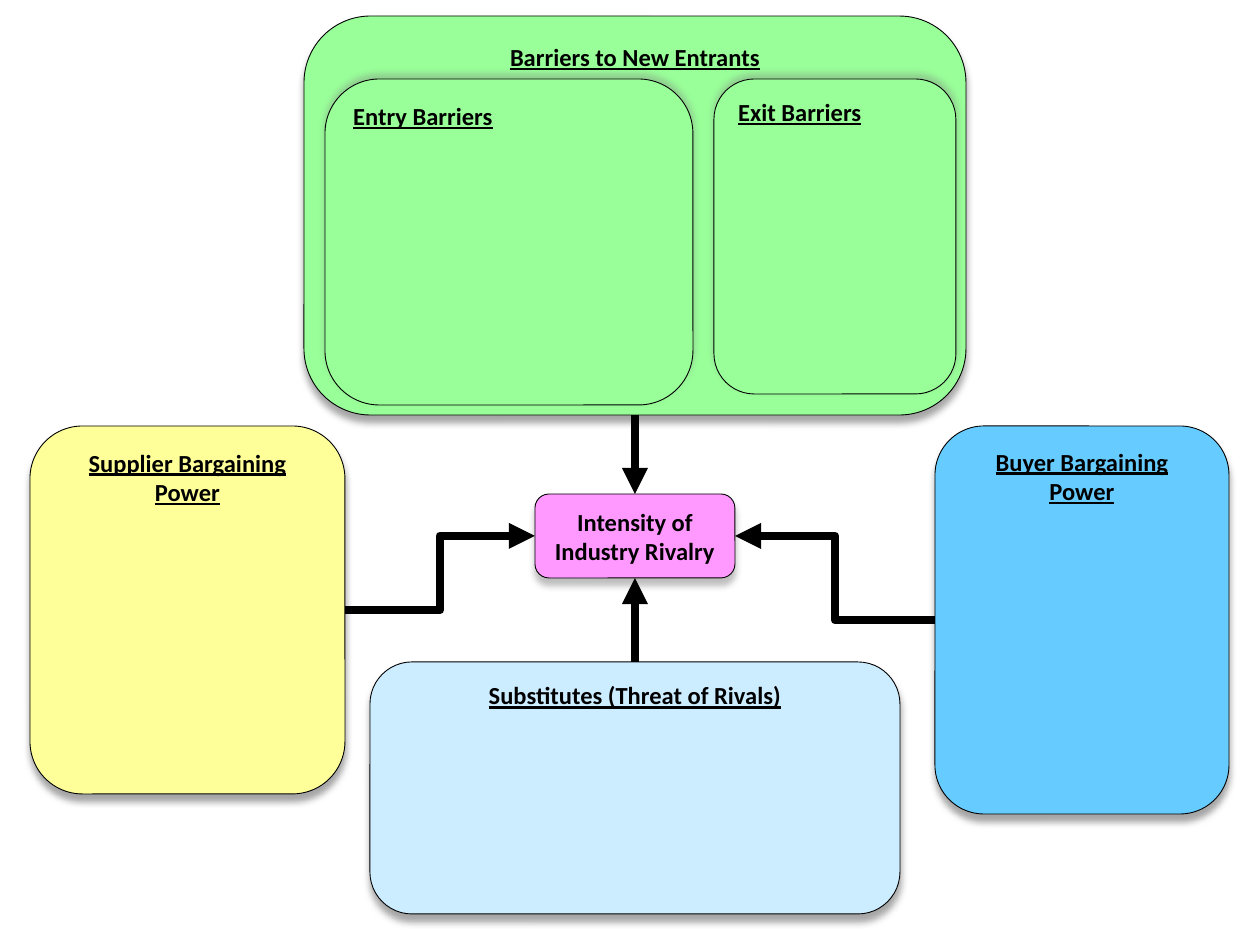
from dataclasses import dataclass

from lxml.etree import SubElement
from pptx import Presentation
from pptx.dml.color import RGBColor
from pptx.enum.shapes import MSO_CONNECTOR as CONN, MSO_SHAPE as SHAPE
from pptx.enum.text import MSO_ANCHOR as ANCHOR, PP_ALIGN as ALIGN
from pptx.oxml.ns import qn
from pptx.util import Inches, Pt

TOP, LEFT, BOTTOM, RIGHT = range(4)


def px(n):
    return Inches(n / 126)


@dataclass(frozen=True)
class Theme:
    font: str = "Calibri"
    size: int = 14
    outline: float = 0.5
    arrow: int = 5
    ink: str = "000000"
    green: str = "99FF99"
    yellow: str = "FFFF99"
    blue: str = "66CCFF"
    pale: str = "CCECFF"
    pink: str = "FF99FF"
    # Shadows: colour, opacity %, distance in points, direction in degrees
    drop: tuple = ("A6A6A6", 100, 4, 90)
    soft: tuple = ("BFBFBF", 100, 4, 90)
    rise: tuple = ("808080", 40, 3, 270)


class Diagram:
    def __init__(self, prs, theme):
        self.theme = theme
        self.s = prs.slides.add_slide(prs.slide_layouts[6])

    def shadow(self, sp, style):
        color, opacity, dist, angle = style
        sp.shadow.inherit = False
        effects = sp._element.spPr.find(qn("a:effectLst"))
        shdw = SubElement(effects, qn("a:outerShdw"), blurRad=str(Pt(4)), dist=str(Pt(dist)),
                          dir=str(angle * 60000), algn="ctr", rotWithShape="0")
        clr = SubElement(shdw, qn("a:srgbClr"), val=color)
        SubElement(clr, qn("a:alpha"), val=str(opacity * 1000))

    def line(self, line, width):
        line.color.rgb = RGBColor.from_string(self.theme.ink)
        line.width = Pt(width)

    def box(self, text, at, fill, shadow=None, align=ALIGN.CENTER,
            anchor=ANCHOR.TOP, underline=True):
        t = self.theme
        sp = self.s.shapes.add_shape(SHAPE.ROUNDED_RECTANGLE, *map(px, at))
        sp.fill.solid()
        sp.fill.fore_color.rgb = RGBColor.from_string(fill)
        self.line(sp.line, t.outline)
        self.shadow(sp, shadow or t.drop)
        tf = sp.text_frame
        tf.word_wrap, tf.vertical_anchor = True, anchor
        p = tf.paragraphs[0]
        p.alignment = align
        r = p.add_run()
        r.text = text
        style = {"name": t.font, "size": Pt(t.size), "bold": True, "underline": underline}
        for name, value in style.items():
            setattr(r.font, name, value)
        r.font.color.rgb = RGBColor.from_string(t.ink)
        return sp

    def arrow(self, start, start_side, end, end_side, kind=CONN.STRAIGHT):
        cxn = self.s.shapes.add_connector(kind, 0, 0, 0, 0)
        cxn.begin_connect(start, start_side)
        cxn.end_connect(end, end_side)
        self.line(cxn.line, self.theme.arrow)
        ln = cxn.line._get_or_add_ln()
        SubElement(ln, qn("a:round"))
        SubElement(ln, qn("a:tailEnd"), type="triangle")
        SubElement(cxn._element.spPr, qn("a:effectLst"))


def main():
    prs = Presentation()
    prs.slide_width, prs.slide_height = px(1260), px(945)
    t = Theme()
    d = Diagram(prs, t)

    # Five forces
    rivalry = d.box("Intensity of Industry Rivalry", (535, 494, 200, 84), t.pink,
                    t.soft, anchor=ANCHOR.MIDDLE, underline=False)
    substitutes = d.box("Substitutes (Threat of Rivals)", (370, 662, 530, 252), t.pale)
    entrants = d.box("Barriers to New Entrants", (304, 16, 662, 399), t.green)
    buyers = d.box("Buyer Bargaining Power", (935, 426, 294, 388), t.blue)
    suppliers = d.box("Supplier Bargaining Power", (30, 426, 315, 368), t.yellow)

    # Arrows into the centre
    d.arrow(suppliers, RIGHT, rivalry, LEFT, CONN.ELBOW)
    d.arrow(buyers, LEFT, rivalry, RIGHT, CONN.ELBOW)
    d.arrow(entrants, BOTTOM, rivalry, TOP)
    d.arrow(substitutes, TOP, rivalry, BOTTOM)

    # Kinds of barrier
    for text, at in (("Entry Barriers", (325, 79, 368, 326)),
                     ("Exit Barriers", (714, 79, 242, 315))):
        d.box(text, at, t.green, t.rise, ALIGN.LEFT)

    prs.save("out.pptx")


if __name__ == "__main__":
    main()
